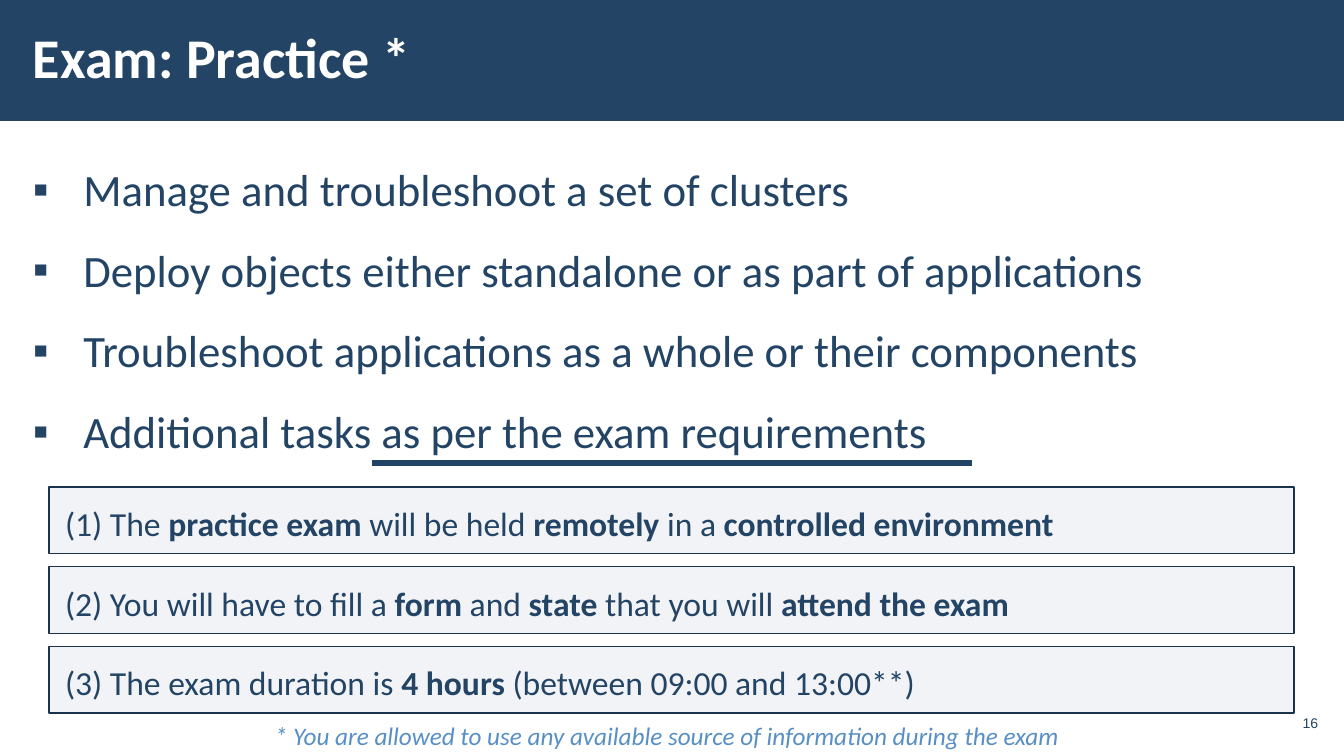
from lxml import etree
from pptx import Presentation
from pptx import util as u
from pptx.dml.color import RGBColor
from pptx.enum import shapes, text
from pptx.oxml.ns import qn

NAVY = "234465"
BULLETS = [
    "Manage and troubleshoot a set of clusters",
    "Deploy objects either standalone or as part of applications",
    "Troubleshoot applications as a whole or their components",
    "Additional tasks as per the exam requirements",
]
NOTES = [
    [("(1) The ", False), ("practice exam ", True), ("will be held ", False),
     ("remotely ", True), ("in a", False), (" controlled environment", True)],
    [("(2) You will have to fill a ", False), ("form", True), (" and ", False),
     ("state", True), (" that you will ", False), ("attend the exam", True)],
    [("(3) The exam duration is ", False), ("4 hours ", True),
     ("(between 09:00 and 13:00**)", False)],
]


def rgb(value):
    return RGBColor.from_string(value)


def add_run(p, content, size, color=NAVY, font="Calibri", bold=False, italic=False):
    r = p.add_run()
    r.text = content
    f = r.font
    f.name, f.size, f.bold, f.italic = font, u.Pt(size), bold, italic
    f.color.rgb = rgb(color)


def set_frame(tf, dx, dy, anchor=text.MSO_ANCHOR.TOP, wrap=True):
    tf.margin_left = tf.margin_right = u.Cm(dx)
    tf.margin_top = tf.margin_bottom = u.Cm(dy)
    tf.vertical_anchor = anchor
    tf.word_wrap = wrap


def add_text(s, x, y, w, h, dx, dy, anchor=text.MSO_ANCHOR.TOP, wrap=True):
    tf = s.shapes.add_textbox(u.Cm(x), u.Cm(y), u.Cm(w), u.Cm(h)).text_frame
    set_frame(tf, dx, dy, anchor, wrap)
    return tf


def add_rect(s, x, y, w, h, fill):
    sp = s.shapes.add_shape(shapes.MSO_SHAPE.RECTANGLE, u.Cm(x), u.Cm(y), u.Cm(w), u.Cm(h))
    sp.shadow.inherit = False
    sp.fill.solid()
    sp.fill.fore_color.rgb = rgb(fill)
    sp.line.fill.background()
    return sp


def set_bullet(p, char, color, indent):
    pPr = p._p.get_or_add_pPr()
    pPr.set("marL", str(u.Cm(indent)))
    pPr.set("indent", str(-u.Cm(indent)))
    buClr = etree.SubElement(pPr, qn("a:buClr"))
    etree.SubElement(buClr, qn("a:srgbClr"), val=color)
    etree.SubElement(pPr, qn("a:buFont"), typeface="Arial")
    etree.SubElement(pPr, qn("a:buChar"), char=char)


def add_header(s, x, y, w, h):
    add_rect(s, x, y, w, h, NAVY)
    tf = add_text(s, x + 0.53, y + 0.28, 27, 2.46, 0.3, 0.1, text.MSO_ANCHOR.MIDDLE)
    p = tf.paragraphs[0]
    p.line_spacing = 0.9
    add_run(p, "Exam: Practice *", 40, "FFFFFF", bold=True)


def add_bullets(s, x, y, w, h):
    tf = add_text(s, x, y, w, h, 0.3, 0.1)
    for i, item in enumerate(BULLETS):
        p = tf.add_paragraph() if i else tf.paragraphs[0]
        p.line_spacing = 1.5
        set_bullet(p, "▪", NAVY, 1.27)
        add_run(p, item, 32)


def add_underline(s, x, y, w):
    line = s.shapes.add_connector(shapes.MSO_CONNECTOR.STRAIGHT,
                                  u.Cm(x), u.Cm(y), u.Cm(x + w), u.Cm(y))
    line.line.color.rgb = rgb("214364")
    line.line.width = u.Pt(4.5)
    etree.SubElement(line._element.spPr, qn("a:effectLst"))


def add_notes(s, x, y, w, h, gap):
    for i, runs in enumerate(NOTES):
        sp = add_rect(s, x, y + i * (h + gap), w, h, "ADB4C3")
        clr = sp._element.spPr.find(qn("a:solidFill")).find(qn("a:srgbClr"))
        etree.SubElement(clr, qn("a:alpha"), val="15000")
        sp.line.color.rgb = rgb("1A334C")
        sp.line.width = u.Pt(1)
        set_frame(sp.text_frame, 0.4, 0.3)
        p = sp.text_frame.paragraphs[0]
        p.alignment = text.PP_ALIGN.LEFT
        p.line_spacing = 1.1
        for content, bold in runs:
            add_run(p, content, 24, bold=bold)


def add_footer(s, x, y, w, h):
    tf = add_text(s, x, y, w, h, 0.4, 0.3, wrap=False)
    p = tf.paragraphs[0]
    p.line_spacing = 1.1
    add_run(p, "* You are allowed to use any available source of information during the exam",
            18, "588FC5", italic=True)
    tf = add_text(s, x + 25.6, y, 1.19, 0.86, 0.1, 0.1, text.MSO_ANCHOR.MIDDLE)
    p = tf.paragraphs[0]
    p.alignment = text.PP_ALIGN.RIGHT
    add_run(p, "16", 10, font="Arial")


def main():
    prs = Presentation()
    prs.slide_width, prs.slide_height = u.Cm(33.87), u.Cm(19.05)
    s = prs.slides.add_slide(prs.slide_layouts[6])
    add_header(s, 0, 0, 33.87, 3.05)
    add_bullets(s, 0.53, 3.3, 32.8, 15.37)
    add_notes(s, 1.24, 12.27, 31.37, 1.68, 0.33)
    add_underline(s, 9.37, 11.66, 15.12)
    add_footer(s, 6.53, 17.78, 20.78, 1.42)
    prs.save("out.pptx")


if __name__ == "__main__":
    main()
